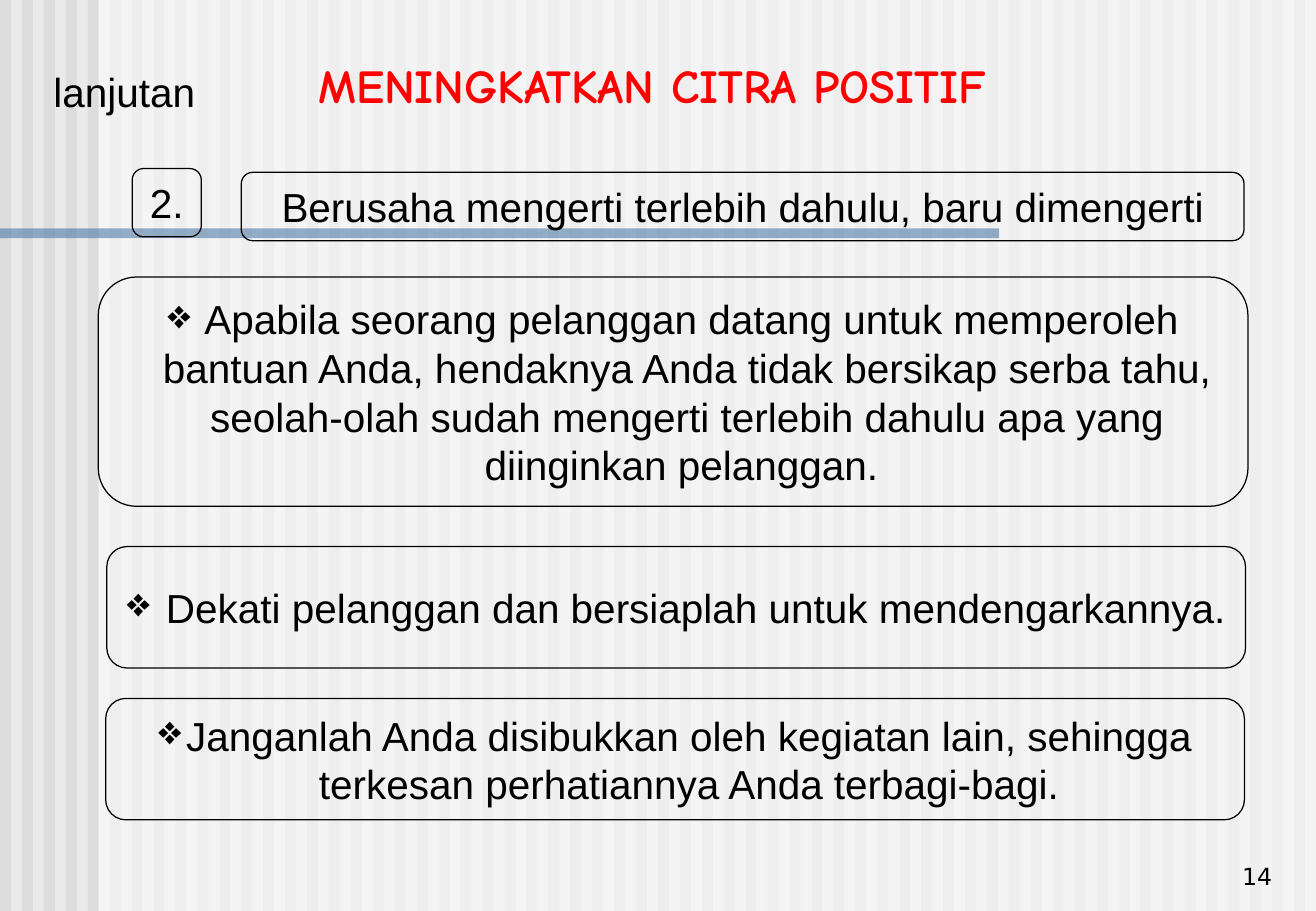
from lxml.etree import SubElement
from pptx import Presentation
from pptx.dml.color import RGBColor
from pptx.enum.shapes import MSO_SHAPE
from pptx.enum.text import MSO_ANCHOR, PP_ALIGN
from pptx.oxml.ns import qn
from pptx.util import Inches, Pt

PAPER = RGBColor(0xEA, 0xEA, 0xEA)
STRIPE = RGBColor(0xDD, 0xDD, 0xDD)
WHITE = RGBColor(0xFF, 0xFF, 0xFF)
BLUE = RGBColor(0x33, 0x66, 0x99)
BLACK = RGBColor(0x00, 0x00, 0x00)
RED = RGBColor(0xFF, 0x00, 0x00)

COLUMNS = ROWS = 60


class StripedSlide:
    """Places elements at (column, row, columns wide, rows high)."""

    font = "Arial"
    size = 24
    bullet = "❖"
    hanging = Inches(0.23)

    def __init__(self, deck):
        self.slide = deck.slides.add_slide(deck.slide_layouts[6])
        self.column = deck.slide_width / COLUMNS
        self.row = deck.slide_height / ROWS
        background = self.slide.background.fill
        background.solid()
        background.fore_color.rgb = PAPER

    def area(self, left, top, width, height):
        return (round(left * self.column), round(top * self.row),
                round(width * self.column), round(height * self.row))

    def band(self, place, color, opacity=100):
        band = self.slide.shapes.add_shape(MSO_SHAPE.RECTANGLE, *self.area(*place))
        band.shadow.inherit = False
        band.line.fill.background()
        band.fill.solid()
        band.fill.fore_color.rgb = color
        if opacity < 100:
            srgb = next(band._element.spPr.iter(qn("a:srgbClr")))
            SubElement(srgb, qn("a:alpha"), val=str(opacity * 1000))

    def set_words(self, frame, words, font=None, size=None, color=BLACK, bold=False,
                  align=PP_ALIGN.CENTER, anchor=MSO_ANCHOR.MIDDLE, wrap=True, bulleted=False):
        frame.word_wrap = wrap
        frame.vertical_anchor = anchor
        frame.text = words
        paragraph = frame.paragraphs[0]
        paragraph.alignment = align
        if bulleted:
            properties = paragraph._p.get_or_add_pPr()
            properties.set("marL", str(self.hanging))
            properties.set("indent", str(-self.hanging))
            SubElement(properties, qn("a:buChar"), char=self.bullet)
        style = paragraph.runs[0].font
        style.name = font or self.font
        style.size = Pt(size or self.size)
        style.bold = bold
        style.color.rgb = color

    def label(self, place, words, **style):
        box = self.slide.shapes.add_textbox(*self.area(*place))
        self.set_words(box.text_frame, words, **style)

    def card(self, place, words, **style):
        card = self.slide.shapes.add_shape(MSO_SHAPE.ROUNDED_RECTANGLE, *self.area(*place))
        card.shadow.inherit = False
        card.fill.background()
        card.line.color.rgb = BLACK
        card.line.width = Pt(0.75)
        self.set_words(card.text_frame, words, **style)


def main():
    deck = Presentation()
    deck.slide_width, deck.slide_height = Inches(10.84), Inches(7.5)
    page = StripedSlide(deck)

    for column in range(COLUMNS):
        page.band((column, 0, 0.5, ROWS), STRIPE)
    page.band((4.5, 0, COLUMNS - 4.5, ROWS), WHITE, opacity=50)
    page.band((0, 15.04, 45.55, 0.64), BLUE, opacity=50)

    page.label((46.05, 55, 12.5, 4), "14", font="DejaVu Sans", size=14,
               align=PP_ALIGN.RIGHT, anchor=MSO_ANCHOR.BOTTOM)
    page.card((6.03, 11.1, 3.15, 4.5), "2.")
    page.card((11, 11.35, 45.72, 4.5), "Berusaha mengerti terlebih dahulu, baru dimengerti")
    page.label((1.88, 4, 7.58, 4), "lanjutan", anchor=MSO_ANCHOR.TOP, wrap=False)

    advice = [
        ((4.48, 18.25, 52.42, 15.1),
         " Apabila seorang pelanggan datang untuk memperoleh bantuan Anda, "
         "hendaknya Anda tidak bersikap serba tahu, seolah-olah sudah mengerti "
         "terlebih dahulu apa yang diinginkan pelanggan. "),
        ((4.87, 36, 51.92, 8),
         " Dekati pelanggan dan bersiaplah untuk mendengarkannya."),
        ((4.82, 46, 51.92, 8),
         "Janganlah Anda disibukkan oleh kegiatan lain, sehingga terkesan "
         "perhatiannya Anda terbagi-bagi."),
    ]
    for place, words in advice:
        page.card(place, words, bulleted=True)

    page.label((10.13, 3.28, 39.19, 4.56), "MENINGKATKAN CITRA POSITIF",
               font="Comic Neue", size=28, color=RED, bold=True, anchor=MSO_ANCHOR.BOTTOM)
    deck.save("out.pptx")


if __name__ == "__main__":
    main()
